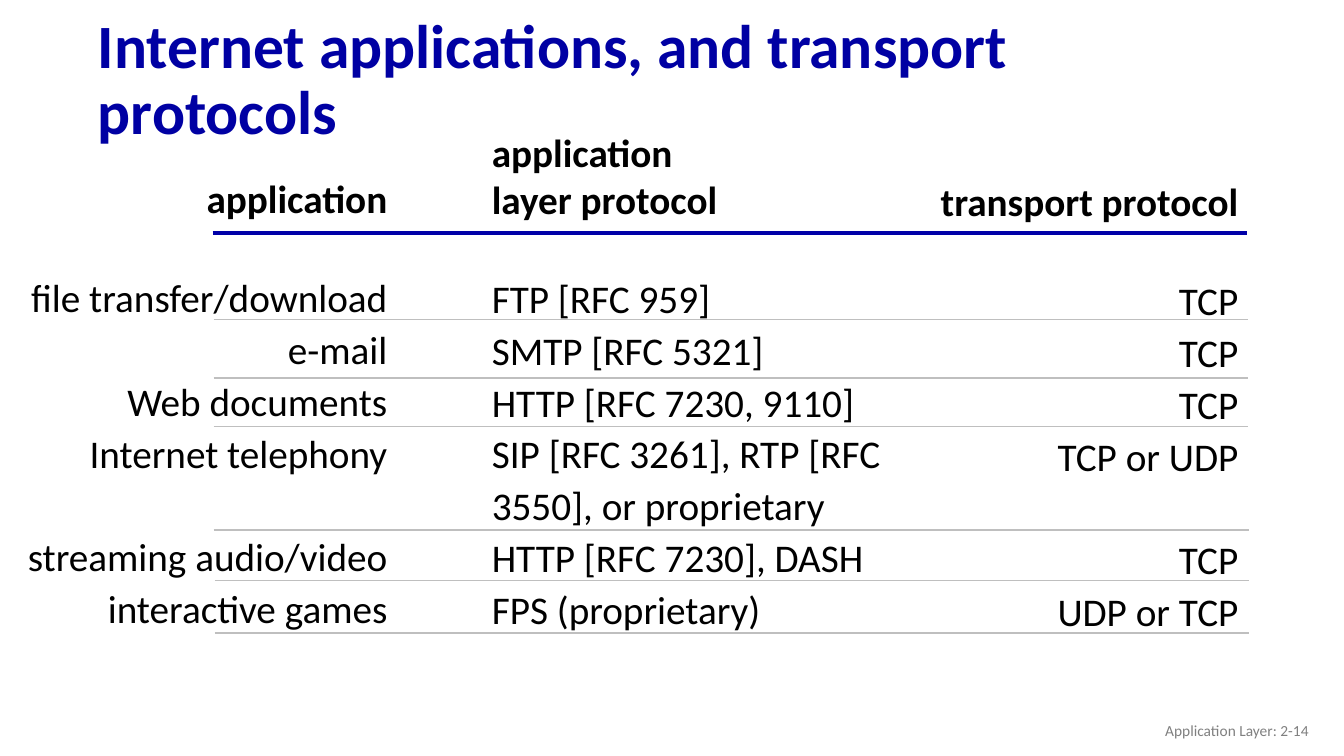
from pptx import Presentation
from pptx.dml.color import RGBColor
from pptx.enum.shapes import MSO_CONNECTOR
from pptx.enum.text import MSO_ANCHOR, MSO_AUTO_SIZE, PP_ALIGN
from pptx.util import Inches, Pt
from lxml import etree
from pptx.oxml.ns import qn

TITLE = RGBColor(0x00, 0x00, 0xA3)
RULE = RGBColor(0x00, 0x00, 0xA8)
GRID = RGBColor(0xBF, 0xBF, 0xBF)
BLACK = RGBColor(0x00, 0x00, 0x00)
GRAY = RGBColor(0x80, 0x80, 0x80)


def set_font(para, size, color, bold=False):
    font = para.font
    font.name = "Calibri"
    font.size = Pt(size)
    font.bold = bold
    font.color.rgb = color


prs = Presentation()
prs.slide_width, prs.slide_height = Inches(13.33), Inches(7.5)
slide = prs.slides.add_slide(prs.slide_layouts[5])
shapes = slide.shapes

title = shapes.title
title.left, title.top = Inches(0.87), Inches(0.32)
title.width, title.height = Inches(11.5), Inches(0.98)
frame = title.text_frame
frame.text = "Internet applications, and transport protocols"
frame.auto_size = MSO_AUTO_SIZE.NONE
frame.vertical_anchor = MSO_ANCHOR.MIDDLE
para = frame.paragraphs[0]
para.alignment = PP_ALIGN.LEFT
para.line_spacing = 0.9
set_font(para, 44, TITLE, True)

# Rules: left end, height, right end
rules = [(2.11, 2.31, 12.37), (2.12, 3.17, 12.38), (2.12, 3.75, 12.38),
         (2.12, 4.23, 12.38), (2.12, 5.26, 12.39), (2.13, 5.76, 12.39),
         (2.13, 6.28, 12.39)]
for i, (left, y, right) in enumerate(rules):
    rule = shapes.add_connector(MSO_CONNECTOR.STRAIGHT, Inches(left), Inches(y),
                                Inches(right), Inches(y))
    rule.line.color.rgb = GRID if i else RULE
    rule.line.width = Pt(1.25 if i else 2.5)
    etree.SubElement(rule._element.spPr, qn("a:effectLst"))

# Columns: box, alignment, wrapping, header lines, entries
columns = [
    ((0.13, 1.68, 3.81, 4.65), PP_ALIGN.RIGHT, False, ["application"],
     ["file transfer/download", "e-mail", "Web documents", "Internet telephony",
      "streaming audio/video", "interactive games"]),
    ((4.78, 1.22, 4.4, 5.64), PP_ALIGN.LEFT, True,
     ["application", "layer protocol"],
     ["FTP [RFC 959]", "SMTP [RFC 5321]", "HTTP [RFC 7230, 9110]",
      "SIP [RFC 3261], RTP [RFC 3550], or proprietary",
      "HTTP [RFC 7230], DASH", "FPS (proprietary)"]),
    ((9.19, 1.71, 3.19, 4.65), PP_ALIGN.RIGHT, False, ["transport protocol"],
     ["TCP", "TCP", "TCP", "TCP or UDP", "TCP", "UDP or TCP"]),
]
for box, align, wrap, heads, rows in columns:
    frame = shapes.add_textbox(*map(Inches, box)).text_frame
    frame.word_wrap = wrap
    frame.text = "\n".join(heads + rows)
    for i, para in enumerate(frame.paragraphs):
        row = i - len(heads)
        para.alignment = align
        if row >= 0:
            para.line_spacing = 1.1
        if row == 0:
            para.space_before = Pt(34)
        elif row == 4 and not wrap:
            # The wrapped protocol entry beside it takes two lines
            para.space_before = Pt(37)
        set_font(para, 28, BLACK, row < 0)

frame = shapes.add_textbox(Inches(10.08), Inches(7.05), Inches(3),
                           Inches(0.4)).text_frame
frame.word_wrap = True
frame.vertical_anchor = MSO_ANCHOR.MIDDLE
frame.text = "Application Layer: 2-14"
para = frame.paragraphs[0]
para.alignment = PP_ALIGN.RIGHT
set_font(para, 11, GRAY)

prs.save("out.pptx")
